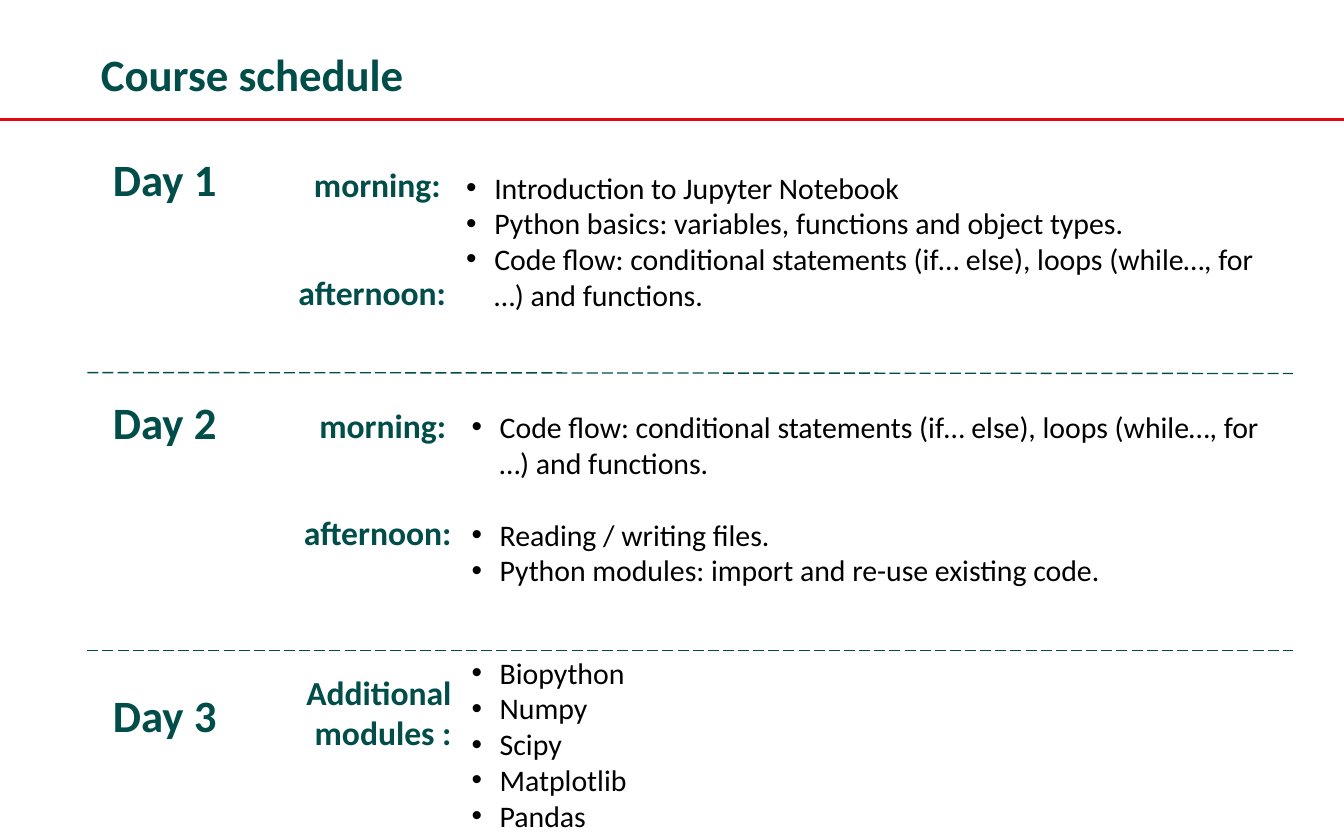
from pptx import Presentation
from pptx.dml.color import RGBColor
from pptx.enum.dml import MSO_LINE as Dash
from pptx.enum.shapes import MSO_CONNECTOR as Link
from pptx.enum.text import MSO_ANCHOR as Anchor, PP_ALIGN as Align
from pptx.oxml.ns import qn
from pptx.util import Pt
from lxml.etree import SubElement

GREEN = RGBColor(0x00, 0x4D, 0x49)
PINE = RGBColor(0x00, 0x4D, 0x4A)
RED = RGBColor(0xE3, 0x06, 0x13)
BLACK = RGBColor(0x00, 0x00, 0x00)

FLOW = "Code flow: conditional statements (if… else), loops (while…, for …) and functions."
DAYS = [
    ("Day 1", 79.9, 71.3),
    ("Day 2", 210.2, 64.8),
    ("Day 3", 367.2, 77.8),
]
PARTS = [
    ("morning:", 155.5, 82.8),
    ("afternoon:", 158.4, 140.4),
    ("morning:", 158.4, 211.7),
    ("afternoon:", 161.3, 269.3),
    ("Additional modules :", 161.3, 365.8),
]
TOPICS = [
    (242.6, 87.1, 121.7, [
        "Introduction to Jupyter Notebook",
        "Python basics: variables, functions and object types.",
        FLOW,
    ], {}),
    (245.5, 215.3, 121.7, [
        FLOW,
        "Reading / writing files.",
        "Python modules: import and re-use existing code.",
    ], {1: 19.4}),
    (245.5, 347, 64.8, ["Biopython", "Numpy", "Scipy", "Matplotlib", "Pandas"], {}),
]


class Page:
    font = "Calibri"
    indent = 15.1

    def __init__(self, slide):
        self.slide = slide

    def frame(self, x, y, w, h):
        frame = self.slide.shapes.add_textbox(Pt(x), Pt(y), Pt(w), Pt(h)).text_frame
        frame.word_wrap = True
        return frame

    def style(self, para, size, color, bold=False):
        for run in para.runs:
            font = run.font
            font.name, font.size, font.bold = self.font, Pt(size), bold
            font.color.rgb = color

    def label(self, text, x, y, w, size=24, align=Align.LEFT):
        frame = self.frame(x, y, w, 31.7)
        frame.margin_left = frame.margin_right = 0
        frame.margin_top = frame.margin_bottom = 0
        frame.vertical_anchor = Anchor.MIDDLE
        frame.text = text
        para = frame.paragraphs[0]
        para.alignment = align
        self.style(para, size, GREEN, True)

    def bullets(self, x, y, h, items, gaps):
        frame = self.frame(x, y, 447.8, h)
        frame.text = "\n".join(items)
        for i, para in enumerate(frame.paragraphs):
            if i in gaps:
                para.space_before = Pt(gaps[i])
            self.style(para, 16, BLACK)
            props = para._p.get_or_add_pPr()
            props.set("marL", str(Pt(self.indent)))
            props.set("indent", str(-Pt(self.indent)))
            SubElement(props, qn("a:buFont")).set("typeface", "Arial")
            SubElement(props, qn("a:buChar")).set("char", "•")

    def rule(self, x, y, end, drop, color, width, dash=None):
        link = self.slide.shapes.add_connector(
            Link.STRAIGHT, Pt(x), Pt(y), Pt(end), Pt(y + drop))
        link.line.color.rgb = color
        link.line.width = Pt(width)
        if dash:
            link.line.dash_style = dash
        SubElement(link._element.spPr, qn("a:effectLst"))


def main():
    deck = Presentation()
    deck.slide_width, deck.slide_height = Pt(720), Pt(450)
    page = Page(deck.slides.add_slide(deck.slide_layouts[6]))

    page.rule(0, 64.1, 720, 0, RED, 1.5)
    page.label("Course schedule", 54, 23.8, 294.5)
    for text, x, y in [(name, 60.5, top) for name, top, _ in DAYS]:
        page.label(text, x, y, 75)
    for topic in TOPICS:
        page.bullets(*topic)
    for y, drop in [(199.6, 0.5), (348.5, 0)]:
        page.rule(46.8, y, 692.6, drop, PINE, 0.75, Dash.LONG_DASH)
    for text, x, y in PARTS:
        page.label(text, x, y, 80.6, 18, Align.RIGHT)

    deck.save("out.pptx")


if __name__ == "__main__":
    main()
